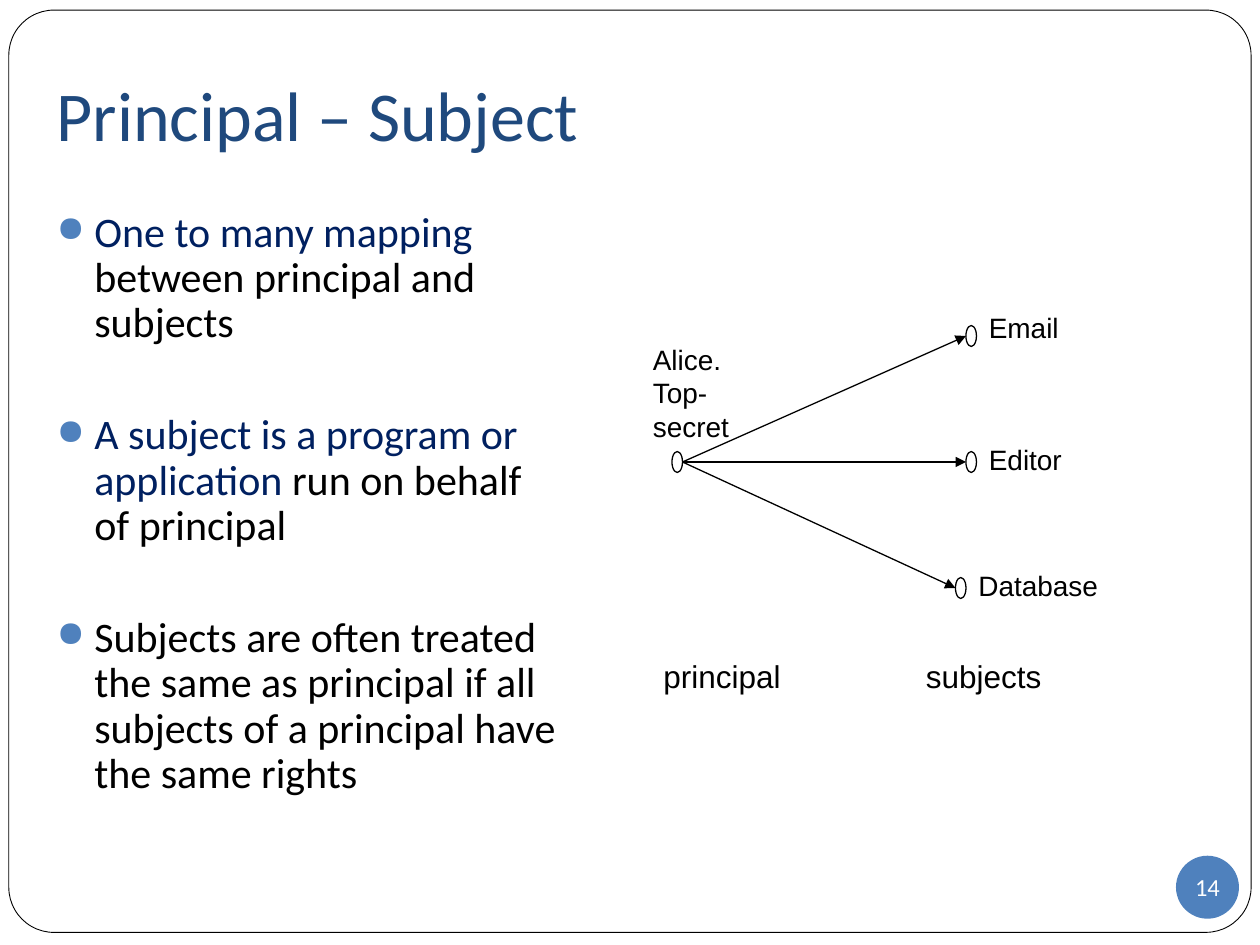
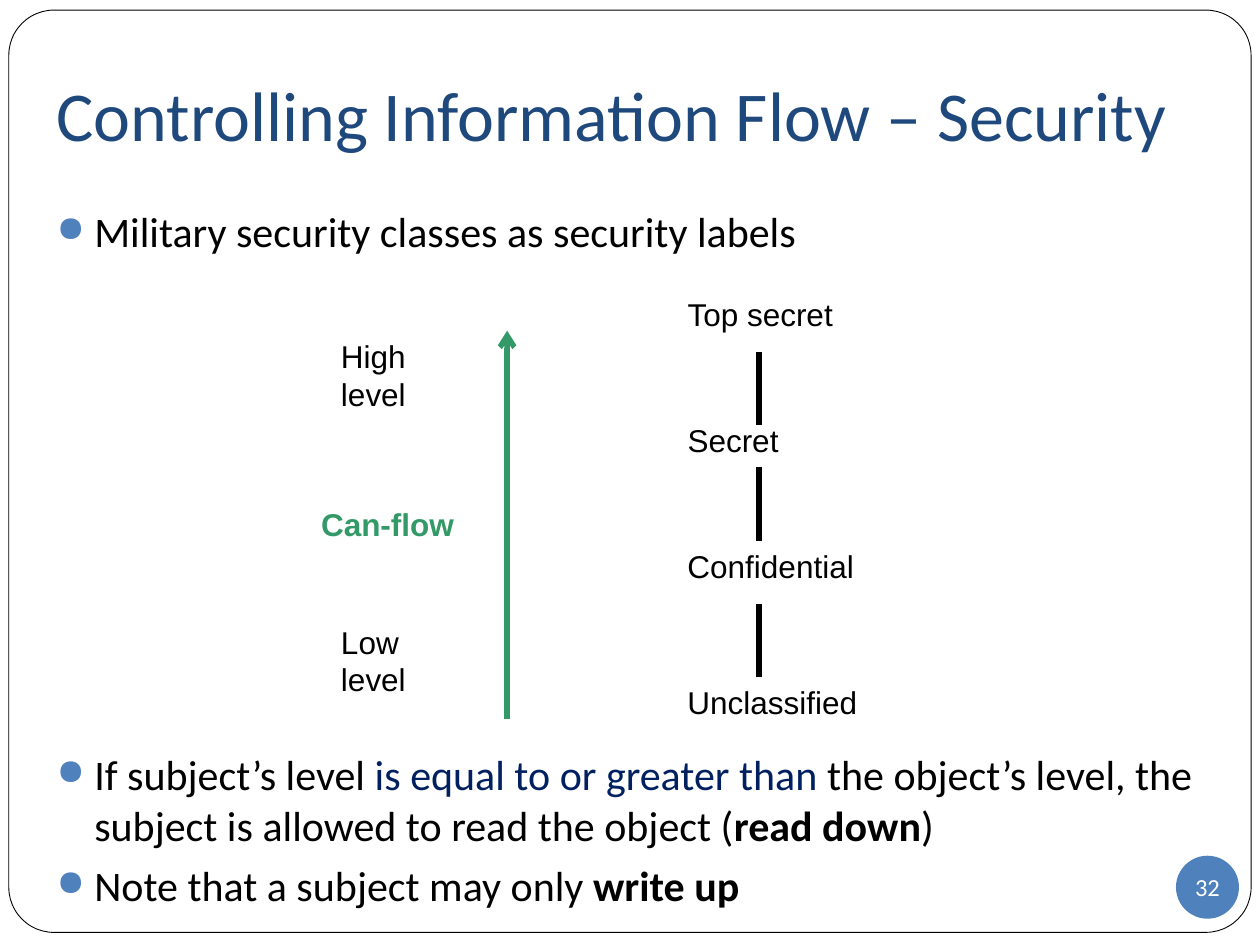
"""Build two lecture slides on principals, subjects and security levels."""
from dataclasses import dataclass

from lxml.etree import SubElement
from pptx import Presentation
from pptx.dml.color import RGBColor as RGB
from pptx.enum.shapes import MSO_CONNECTOR as CONN, MSO_SHAPE as SHAPE
from pptx.enum.text import MSO_ANCHOR as ANCHOR, MSO_AUTO_SIZE as AUTO, PP_ALIGN as ALIGN
from pptx.oxml.ns import qn
from pptx.util import Inches, Pt

CELL = Inches(10) // 120
WIDTH, HEIGHT = 120 * CELL, 90 * CELL


@dataclass(frozen=True)
class Theme:
    """Colours, fonts and type sizes of the deck."""
    ink: str = "000000"
    paper: str = "FFFFFF"
    title: str = "1F497D"
    accent: str = "4F81BD"
    strong: str = "002060"
    flow: str = "339966"
    text_font: str = "Calibri"
    label_font: str = "Arial"
    title_size: int = 40
    body_size: int = 24
    label_size: int = 18
    small_size: int = 16
    number_size: int = 14


T = Theme()


def cells(*values):
    """Turn grid columns and rows into lengths."""
    return [round(v * CELL) for v in values]


def add_run(p, text, size=T.body_size, font=T.text_font, color=T.ink, bold=False):
    """Add formatted text to a paragraph, with \\v as a line break."""
    for i, line in enumerate(text.split("\v")):
        if i:
            p.add_line_break()
        r = p.add_run()
        r.text = line
        r.font.size, r.font.name, r.font.bold = Pt(size), font, bold
        r.font.color.rgb = RGB.from_string(color)


def add_shape(s, kind, col, row, w, h, fill=None, line=None, weight=0.75):
    """Add a preset shape on the grid."""
    sp = s.shapes.add_shape(kind, *cells(col, row, w, h))
    sp.shadow.inherit = False
    if fill:
        sp.fill.solid()
        sp.fill.fore_color.rgb = RGB.from_string(fill)
    else:
        sp.fill.background()
    if line:
        sp.line.color.rgb = RGB.from_string(line)
        sp.line.width = Pt(weight)
    else:
        sp.line.fill.background()
    return sp


def add_line(s, start, end, color=T.ink, weight=0.75, head=None):
    """Draw a straight line between two grid points, with an optional arrowhead."""
    cx = s.shapes.add_connector(CONN.STRAIGHT, *cells(*start, *end))
    cx.line.color.rgb = RGB.from_string(color)
    cx.line.width = Pt(weight)
    if head:
        SubElement(cx.line._get_or_add_ln(), qn("a:tailEnd"), type=head)
    SubElement(cx.element.spPr, qn("a:effectLst"))


def add_label(s, text, col, row, w, h=4.8, **fmt):
    """Add a diagram label that wraps in its width."""
    tf = s.shapes.add_textbox(*cells(col, row, w, h)).text_frame
    tf.word_wrap, tf.auto_size = True, AUTO.SHAPE_TO_FIT_TEXT
    add_run(tf.paragraphs[0], text, **{"size": T.label_size, "font": T.label_font, **fmt})


def add_bullets(s, box, items, spacing=1.0):
    """Add bullets, each given as its space before and its runs."""
    tf = s.shapes.add_textbox(*cells(*box)).text_frame
    tf.word_wrap = True
    for i, (before, runs) in enumerate(items):
        p = tf.add_paragraph() if i else tf.paragraphs[0]
        p.line_spacing, p.space_before = spacing, Pt(before)
        pPr = p._p.get_or_add_pPr()
        pPr.set("marL", str(Inches(0.3)))
        pPr.set("indent", str(-Inches(0.3)))
        SubElement(SubElement(pPr, qn("a:buClr")), qn("a:srgbClr"), val=T.accent)
        SubElement(pPr, qn("a:buSzPct"), val="85000")
        SubElement(pPr, qn("a:buChar"), char="●")
        for text, fmt in runs:
            add_run(p, text, **fmt)


def add_frame(s):
    """Put the rounded frame on the layout that the slides share."""
    frame = add_shape(s, SHAPE.ROUNDED_RECTANGLE, 0.84, 0.96, 118.32, 87.84,
                      fill=T.paper, line=T.ink, weight=0.5)
    frame.adjustments[0] = 0.049
    s.slide_layout.shapes.element.insert(2, frame.element)


def new_slide(prs, title, number):
    """Add a slide with its title and page number."""
    s = prs.slides.add_slide(prs.slide_layouts.get_by_name("Title Only"))
    sp = s.shapes.title
    sp.left, sp.top, sp.width, sp.height = cells(4.2, 3.6, 112.4, 15)
    tf = sp.text_frame
    tf.vertical_anchor, tf.auto_size = ANCHOR.MIDDLE, AUTO.NONE
    tf.margin_bottom = Inches(0.1)
    p = tf.paragraphs[0]
    p.alignment = ALIGN.LEFT
    add_run(p, title, size=T.title_size, color=T.title)

    tf = add_shape(s, SHAPE.OVAL, 112, 81.5, 6, 6, fill=T.accent).text_frame
    tf.margin_left = tf.margin_right = tf.margin_top = tf.margin_bottom = 0
    tf.word_wrap, tf.vertical_anchor = False, ANCHOR.MIDDLE
    p = tf.paragraphs[0]
    p.alignment = ALIGN.CENTER
    add_run(p, str(number), size=T.number_size, color=T.paper)
    return s


def add_node(s, col, row):
    """Draw a small oval whose left end is the given grid point."""
    add_shape(s, SHAPE.OVAL, col, row - 1, 1, 2, line=T.ink)


def principal_slide(prs):
    """Show one principal mapped to many subjects."""
    s = new_slide(prs, "Principal – Subject", 14)
    add_frame(s)
    strong = {"color": T.strong}
    add_bullets(s, (4.2, 19.5, 50, 61), [
        (5.8, [("One to many mapping ", strong), ("between principal and subjects", {})]),
        (38, [("A subject is a program or application ", strong),
              ("run on behalf of principal", {})]),
        (38, [("Subjects are often treated the same as principal if all subjects "
               "of a principal have the same rights", {})]),
    ], spacing=0.9)

    add_node(s, 64, 44)
    for name, col, row, label_row, w in [("Email", 92, 32, 29, 10),
                                         ("Editor", 92, 44, 41.6, 10),
                                         ("Database", 91, 56, 53.6, 14)]:
        add_line(s, (65, 44), (col, row), head="triangle")
        add_node(s, col, row)
        add_label(s, name, col + 1, label_row, w, 4.4, size=T.small_size)
    add_label(s, "Alice.\vTop-secret", 61, 32, 10, 10.8, size=T.small_size)
    add_label(s, "principal", 62, 62, 17)
    add_label(s, "subjects", 87, 62, 16)


def flow_slide(prs):
    """Show the security levels and the direction of allowed flow."""
    s = new_slide(prs, "Controlling Information Flow – Security", 32)
    bold = {"bold": True}
    add_bullets(s, (4.2, 19, 112.4, 67.5), [
        (5.8, [("Military security classes as security labels", {})]),
        (281.5, [("If subject’s level ", {}),
                 ("is equal to or greater than", {"color": T.strong}),
                 (" the object’s level, the subject is allowed to read the object (", {}),
                 ("read down", bold), (")", {})]),
        (5.8, [("Note that a subject may only ", {}), ("write up", bold)]),
    ])

    for name, row, w in [("Top secret", 27.5, 20), ("Secret", 39.5, 20),
                         ("Confidential", 51.5, 23), ("Unclassified", 64.5, 24)]:
        add_label(s, name, 64.3, row, w)
    for top in (33.5, 44.5, 57.5):
        add_line(s, (72.3, top + 7), (72.3, top), weight=3)

    add_line(s, (48.3, 68.5), (48.3, 31.5), color=T.flow, weight=3, head="arrow")
    for name, row in [("High level", 31.5), ("Low level", 58.7)]:
        add_label(s, name, 31.3, row, 13, 8.4)
    add_label(s, "Can-flow", 29.4, 47.5, 18, color=T.flow, bold=True)


def main():
    """Build and save the deck."""
    prs = Presentation()
    prs.slide_width, prs.slide_height = WIDTH, HEIGHT
    principal_slide(prs)
    flow_slide(prs)
    prs.save("out.pptx")


if __name__ == "__main__":
    main()
